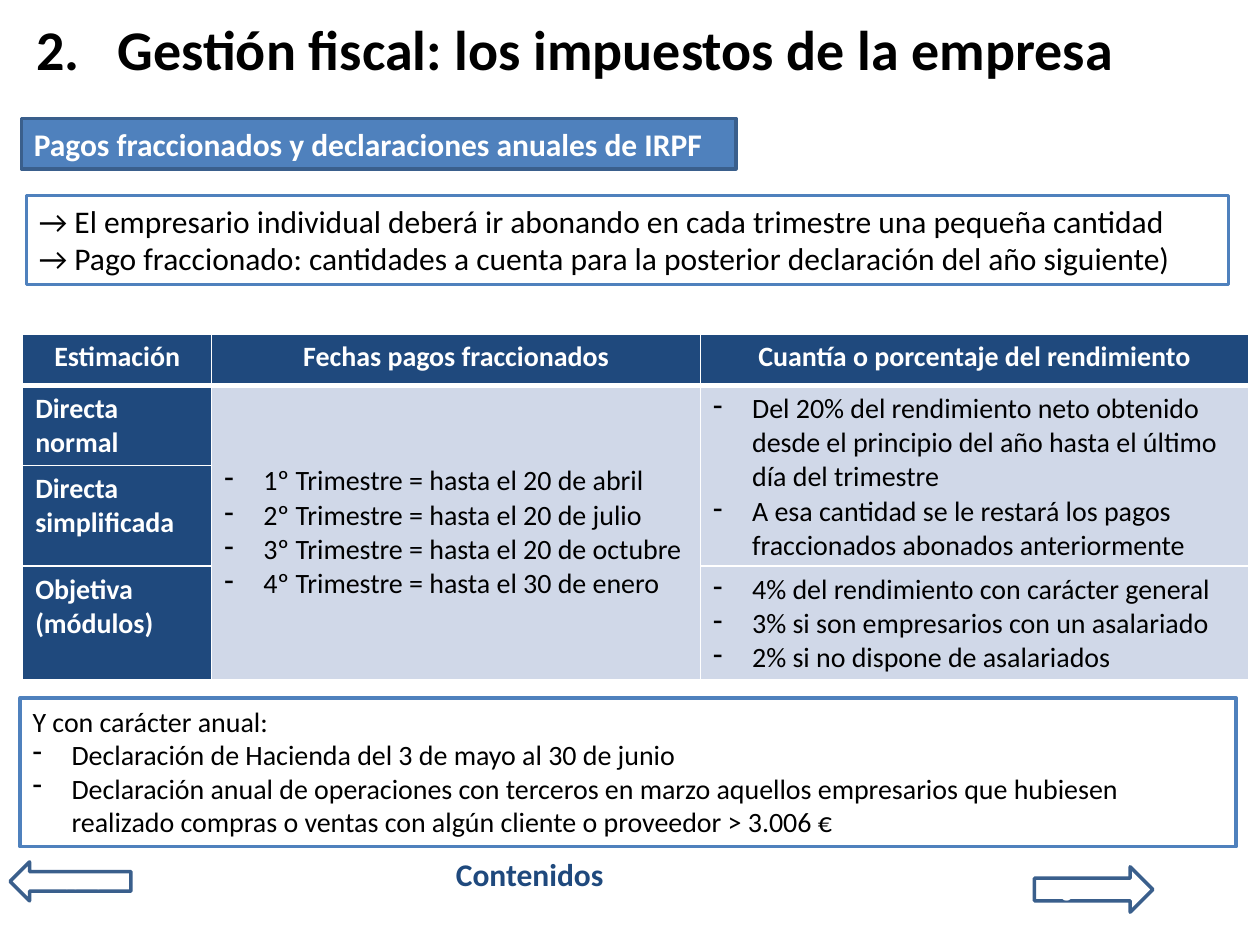
from dataclasses import dataclass
from typing import Optional

import pptx
import pptx.dml.color
import pptx.enum.shapes
import pptx.enum.text
import pptx.oxml
import pptx.oxml.ns
import pptx.util

Inches = pptx.util.Inches
Pt = pptx.util.Pt
RGBColor = pptx.dml.color.RGBColor
Shape = pptx.enum.shapes.MSO_SHAPE
Align = pptx.enum.text.PP_ALIGN
Anchor = pptx.enum.text.MSO_ANCHOR

BLACK = RGBColor(0x00, 0x00, 0x00)
WHITE = RGBColor(0xFF, 0xFF, 0xFF)
NAVY = RGBColor(0x1F, 0x49, 0x7D)
BLUE = RGBColor(0x4F, 0x81, 0xBD)
DARK_BLUE = RGBColor(0x3A, 0x5F, 0x8C)
PALE_BLUE = RGBColor(0xD0, 0xD8, 0xE8)

FONT = "Calibri"
HANGING = Inches(0.31)
DASH = "- "


@dataclass
class TextStyle:
    size: int
    color: RGBColor = BLACK
    bold: bool = False
    align: Align = Align.LEFT
    anchor: Anchor = Anchor.TOP


@dataclass
class Panel:
    kind: Optional[Shape]
    box: tuple[float, float, float, float]
    lines: list[str]
    style: TextStyle
    fill: Optional[RGBColor] = None
    line: Optional[RGBColor] = None


@dataclass
class Entry:
    row: int
    column: int
    lines: list[str]
    style: TextStyle
    fill: RGBColor
    last_row: Optional[int] = None


ARROW_LABEL = TextStyle(12, WHITE, True, Align.CENTER, Anchor.MIDDLE)
HEADER = TextStyle(16, WHITE, True, Align.CENTER)
METHOD = TextStyle(16, WHITE, True)
DETAIL = TextStyle(16)
DATES = TextStyle(16, anchor=Anchor.MIDDLE)

PANELS = [
    Panel(Shape.LEFT_ARROW, (0.08, 6.84, 0.96, 0.31), ["Anterior"], ARROW_LABEL, line=DARK_BLUE),
    Panel(Shape.RIGHT_ARROW, (8.21, 6.88, 0.94, 0.36), ["siguiente"], ARROW_LABEL, line=DARK_BLUE),
    Panel(None, (3.52, 6.74, 1.44, 0.4), ["Contenidos"], TextStyle(18, NAVY, True)),
    Panel(None, (0.19, 0, 9.81, 0.76), ["2.   Gestión fiscal: los impuestos de la empresa"],
          TextStyle(32, bold=True, anchor=Anchor.MIDDLE)),
    Panel(Shape.RECTANGLE, (0.17, 0.94, 5.67, 0.4),
          ["Pagos fraccionados y declaraciones anuales de IRPF"],
          TextStyle(18, WHITE, True), BLUE, DARK_BLUE),
    Panel(Shape.RECTANGLE, (0.21, 1.55, 9.54, 0.71), [
        "→ El empresario individual deberá ir abonando en cada trimestre una pequeña cantidad",
        "→ Pago fraccionado: cantidades a cuenta para la posterior declaración del año siguiente)",
    ], TextStyle(18), WHITE, BLUE),
    Panel(Shape.RECTANGLE, (0.16, 5.54, 9.65, 1.18), [
        "Y con carácter anual:",
        "- Declaración de Hacienda del 3 de mayo al 30 de junio",
        "- Declaración anual de operaciones con terceros en marzo aquellos empresarios que "
        "hubiesen realizado compras o ventas con algún cliente o proveedor > 3.006 €",
    ], TextStyle(16), WHITE, BLUE),
]

COLUMN_WIDTHS = [1.5, 3.88, 4.35]
ROW_HEIGHTS = [0.41, 0.63, 0.8, 0.9]
HEADINGS = ["Estimación", "Fechas pagos fraccionados", "Cuantía o porcentaje del rendimiento"]
METHODS = ["Directa normal", "Directa simplificada", "Objetiva (módulos)"]
ENTRIES = [
    *(Entry(0, column, [text], HEADER, NAVY) for column, text in enumerate(HEADINGS)),
    *(Entry(row, 0, [text], METHOD, NAVY) for row, text in enumerate(METHODS, 1)),
    Entry(1, 1, [
        "- 1º Trimestre = hasta el 20 de abril",
        "- 2º Trimestre = hasta el 20 de julio",
        "- 3º Trimestre = hasta el 20 de octubre",
        "- 4º Trimestre = hasta el 30 de enero",
    ], DATES, PALE_BLUE, last_row=3),
    Entry(1, 2, [
        "- Del 20% del rendimiento neto obtenido desde el principio del año hasta el último "
        "día del trimestre",
        "- A esa cantidad se le restará los pagos fraccionados abonados anteriormente",
    ], DETAIL, PALE_BLUE, last_row=2),
    Entry(3, 2, [
        "- 4% del rendimiento con carácter general",
        "- 3% si son empresarios con un asalariado",
        "- 2% si no dispone de asalariados",
    ], DETAIL, PALE_BLUE),
]


def add_dash(paragraph) -> None:
    properties = paragraph._p.get_or_add_pPr()
    properties.set("marL", str(HANGING))
    properties.set("indent", str(-HANGING))
    bullet = pptx.oxml.parse_xml(f'<a:buChar {pptx.oxml.ns.nsdecls("a")} char="-"/>')
    properties.append(bullet)


def write_lines(frame, lines: list[str], style: TextStyle) -> None:
    for index, line in enumerate(lines):
        paragraph = frame.add_paragraph() if index else frame.paragraphs[0]
        paragraph.text = line.removeprefix(DASH)
        paragraph.alignment = style.align
        paragraph.font.name = FONT
        paragraph.font.size = Pt(style.size)
        paragraph.font.bold = style.bold
        paragraph.font.color.rgb = style.color
        if line.startswith(DASH):
            add_dash(paragraph)


def draw_panel(shapes, panel: Panel) -> None:
    box = [Inches(length) for length in panel.box]
    if panel.kind is None:
        shape = shapes.add_textbox(*box)
    else:
        shape = shapes.add_shape(panel.kind, *box)
        shape.shadow.inherit = False
        shape.line.color.rgb = panel.line
        shape.line.width = Pt(2)
        if panel.fill is None:
            shape.fill.background()
        else:
            shape.fill.solid()
            shape.fill.fore_color.rgb = panel.fill
    shape.text_frame.word_wrap = True
    shape.text_frame.vertical_anchor = panel.style.anchor
    write_lines(shape.text_frame, panel.lines, panel.style)


def set_borders(cell, top: int, bottom: int) -> None:
    properties = cell._tc.get_or_add_tcPr()
    widths = {"lnL": 1, "lnR": 1, "lnT": top, "lnB": bottom}
    for position, (side, width) in enumerate(widths.items()):
        border = pptx.oxml.parse_xml(
            f'<a:{side} {pptx.oxml.ns.nsdecls("a")} w="{Pt(width)}">'
            f'<a:solidFill><a:srgbClr val="{WHITE}"/></a:solidFill></a:{side}>'
        )
        properties.insert(position, border)


def draw_table(shapes, left: float, top: float) -> None:
    table = shapes.add_table(
        len(ROW_HEIGHTS), len(COLUMN_WIDTHS), Inches(left), Inches(top),
        Inches(sum(COLUMN_WIDTHS)), Inches(sum(ROW_HEIGHTS)),
    ).table
    table.horz_banding = False
    for column, width in zip(table.columns, COLUMN_WIDTHS):
        column.width = Inches(width)
    for index, (row, height) in enumerate(zip(table.rows, ROW_HEIGHTS)):
        row.height = Inches(height)
        for cell in row.cells:
            set_borders(cell, 3 if index == 1 else 1, 3 if index == 0 else 1)
    for entry in ENTRIES:
        cell = table.cell(entry.row, entry.column)
        if entry.last_row is not None:
            cell.merge(table.cell(entry.last_row, entry.column))
        cell.fill.solid()
        cell.fill.fore_color.rgb = entry.fill
        cell.vertical_anchor = entry.style.anchor
        write_lines(cell.text_frame, entry.lines, entry.style)


def main() -> None:
    deck = pptx.Presentation()
    deck.slide_width = Inches(10)
    deck.slide_height = Inches(7.5)
    slide = deck.slides.add_slide(deck.slide_layouts[6])
    for panel in PANELS:
        draw_panel(slide.shapes, panel)
    draw_table(slide.shapes, 0.18, 2.65)
    deck.save("out.pptx")


if __name__ == "__main__":
    main()
